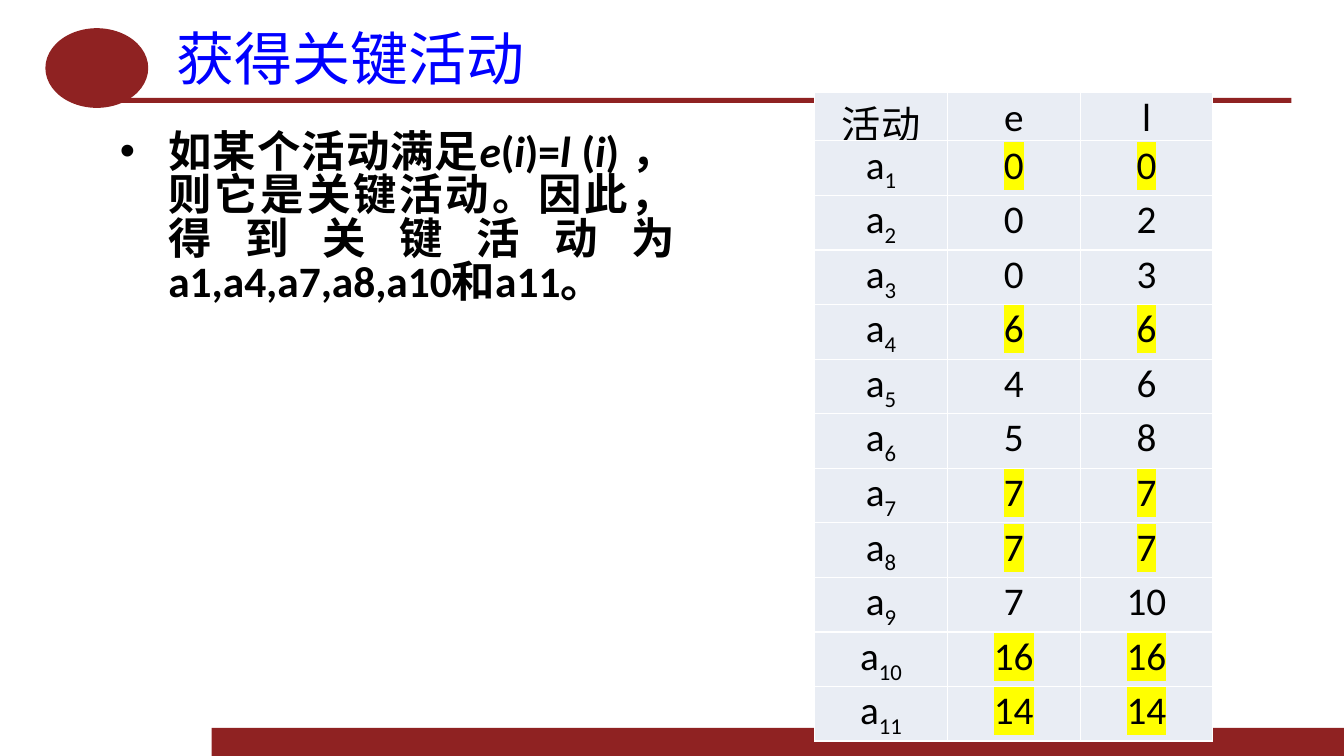
from dataclasses import dataclass

from lxml import etree
from pptx import Presentation
from pptx.dml.color import RGBColor
from pptx.enum.shapes import MSO_SHAPE
from pptx.enum.text import MSO_ANCHOR, PP_ALIGN
from pptx.oxml.ns import qn
from pptx.util import Inches, Pt

RECTANGLE, OVAL = MSO_SHAPE.RECTANGLE, MSO_SHAPE.OVAL
TOP, MIDDLE = MSO_ANCHOR.TOP, MSO_ANCHOR.MIDDLE
CENTER, JUSTIFY = PP_ALIGN.CENTER, PP_ALIGN.JUSTIFY


@dataclass(frozen=True)
class Theme:
    maroon: str = "8F2222"
    title_blue: str = "0000FF"
    ink: str = "000000"
    cell: str = "E9EDF4"
    border: str = "FFFFFF"
    highlight: str = "FFFF00"
    latin: str = "Calibri"
    chinese: str = "Noto Sans CJK SC"
    title_size: float = 41.4
    body_size: float = 31
    table_size: float = 28


THEME = Theme()

STATEMENT = [  # (text, italic)
    ("如某个活动满足", False),
    ("e", True),
    ("(", False),
    ("i", True),
    (")=", False),
    ("l ", True),
    ("(", False),
    ("i", True),
    (") ，则它是关键活动。因此，得到关键活动为a1,a4,a7,a8,a10和a11。", False),
]
HEADINGS = ["活动", "e", "l"]
ACTIVITY_TIMES = [  # (e, l) of a1, a2, ...
    (0, 0), (0, 2), (0, 3), (6, 6), (4, 6), (5, 8),
    (7, 7), (7, 7), (7, 10), (16, 16), (14, 14),
]


def add_run(paragraph, text, size, color=THEME.ink, latin=THEME.latin):
    run = paragraph.add_run()
    run.text = text
    run.font.size = Pt(size)
    run.font.color.rgb = RGBColor.from_string(color)
    run.font.name = latin
    east_asian = etree.Element(qn("a:ea"), typeface=THEME.chinese)
    run._r.rPr.find(qn("a:latin")).addnext(east_asian)
    return run


def highlight(run):
    mark = etree.Element(qn("a:highlight"))
    etree.SubElement(mark, qn("a:srgbClr"), val=THEME.highlight)
    run._r.rPr.find(qn("a:solidFill")).addnext(mark)


def add_bullet(paragraph, indent):
    properties = paragraph._p.get_or_add_pPr()
    properties.set("marL", str(indent))
    properties.set("indent", str(-indent))
    etree.SubElement(properties, qn("a:buFont"), typeface="Arial")
    etree.SubElement(properties, qn("a:buChar"), char="•")


def add_decoration(slide, preset, left, top, width, height):
    shape = slide.shapes.add_shape(
        preset, Inches(left), Inches(top), Inches(width), Inches(height))
    shape.shadow.inherit = False
    shape.fill.solid()
    shape.fill.fore_color.rgb = RGBColor.from_string(THEME.maroon)
    shape.line.fill.background()


def add_paragraph_box(slide, left, top, width, height, anchor):
    """Add a wrapping text box and return its first paragraph, justified."""
    frame = slide.shapes.add_textbox(
        Inches(left), Inches(top), Inches(width), Inches(height)).text_frame
    frame.word_wrap = True
    frame.vertical_anchor = anchor
    frame.margin_left = frame.margin_right = Inches(0.13)
    frame.margin_top = frame.margin_bottom = Inches(0.06)
    paragraph = frame.paragraphs[0]
    paragraph.alignment = JUSTIFY
    return paragraph


def add_title(slide):
    paragraph = add_paragraph_box(slide, 1.62, 0.21, 11.19, 0.71, MIDDLE)
    add_run(paragraph, "获得关键活动", THEME.title_size,
            THEME.title_blue, THEME.chinese)


def add_statement(slide):
    paragraph = add_paragraph_box(slide, 1.06, 1.26, 5.76, 5.32, TOP)
    add_bullet(paragraph, Inches(0.48))
    paragraph.line_spacing = 0.83
    paragraph.space_after = Pt(7.7)
    for text, italic in STATEMENT:
        run = add_run(paragraph, text, THEME.body_size)
        run.font.bold = True
        run.font.italic = italic


def set_borders(cell):
    properties = cell._tc.get_or_add_tcPr()
    for position, side in enumerate(("a:lnL", "a:lnR", "a:lnT", "a:lnB")):
        line = etree.Element(qn(side), w=str(Pt(1)))
        fill = etree.SubElement(line, qn("a:solidFill"))
        etree.SubElement(fill, qn("a:srgbClr"), val=THEME.border)
        properties.insert(position, line)


def write_cell(cell, text, subscript="", marked=False):
    cell.fill.solid()
    cell.fill.fore_color.rgb = RGBColor.from_string(THEME.cell)
    set_borders(cell)
    cell.margin_left = cell.margin_right = Inches(0.1)
    cell.margin_top, cell.margin_bottom = Inches(0.01), 0
    paragraph = cell.text_frame.paragraphs[0]
    paragraph.alignment = CENTER
    run = add_run(paragraph, text, THEME.table_size)
    if marked:
        highlight(run)
    if subscript:
        index = add_run(paragraph, subscript, THEME.table_size)
        index._r.rPr.set("baseline", "-25000")


def add_activity_table(slide):
    """Tabulate e and l, marking the critical activities, where e equals l."""
    table = slide.shapes.add_table(
        len(ACTIVITY_TIMES) + 1, len(HEADINGS),
        Inches(8.08), Inches(0.92), Inches(3.95), Inches(5.72)).table
    table.first_row = table.horz_banding = False
    for column, heading in enumerate(HEADINGS):
        write_cell(table.cell(0, column), heading)
    for row, (earliest, latest) in enumerate(ACTIVITY_TIMES, start=1):
        critical = earliest == latest
        write_cell(table.cell(row, 0), "a", subscript=str(row))
        write_cell(table.cell(row, 1), str(earliest), marked=critical)
        write_cell(table.cell(row, 2), str(latest), marked=critical)


def main():
    presentation = Presentation()
    presentation.slide_width = Inches(13.33)
    presentation.slide_height = Inches(7.5)
    slide = presentation.slides.add_slide(presentation.slide_layouts[6])
    add_decoration(slide, RECTANGLE, 2.1, 7.22, 11.23, 0.28)
    add_decoration(slide, RECTANGLE, 1.18, 0.97, 11.63, 0.05)
    add_decoration(slide, OVAL, 0.45, 0.28, 1.02, 0.79)
    add_statement(slide)
    add_title(slide)
    add_activity_table(slide)
    presentation.save("out.pptx")


if __name__ == "__main__":
    main()
